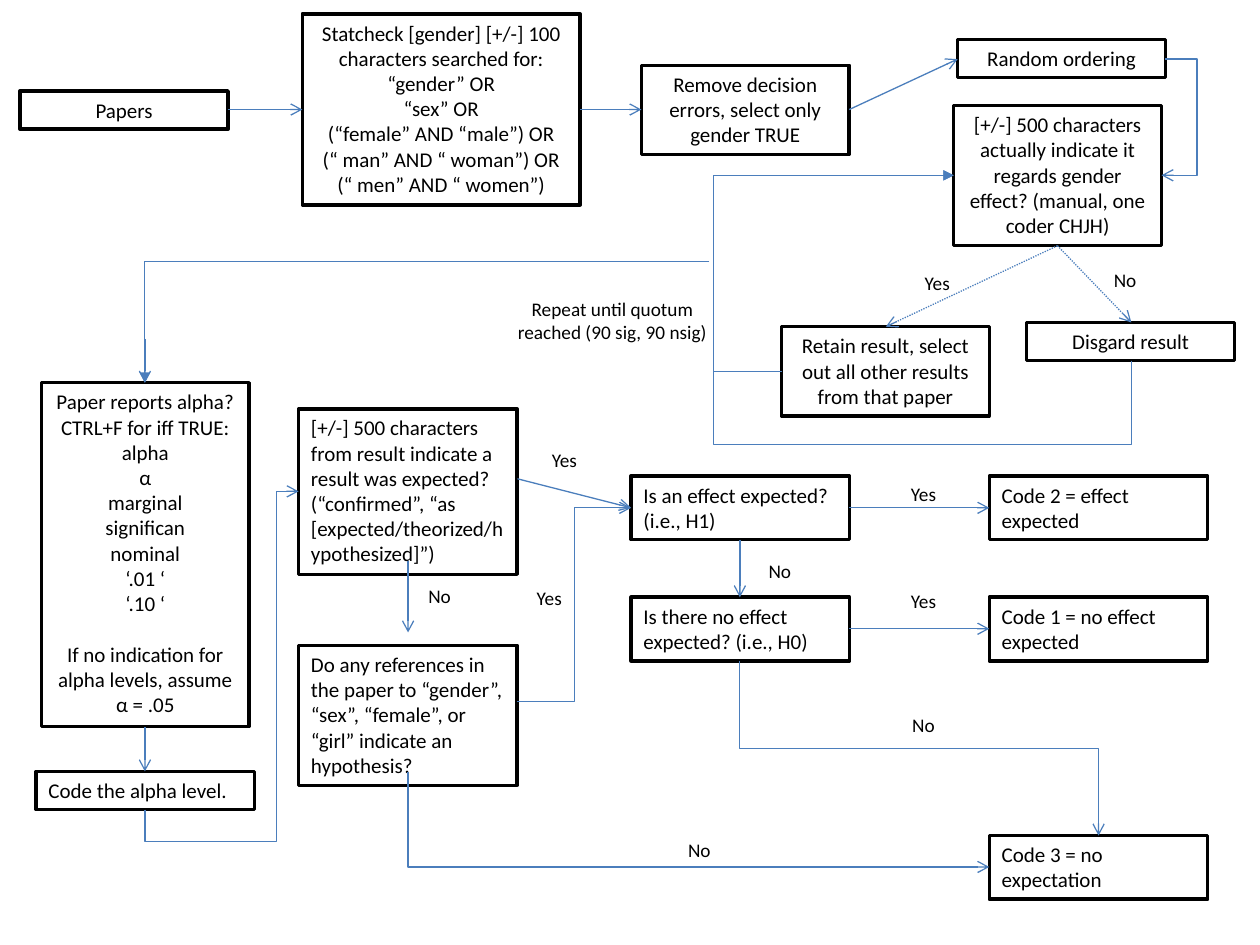
from pptx import Presentation
from pptx.dml.color import RGBColor
from pptx.enum.dml import MSO_LINE
from pptx.enum.shapes import MSO_CONNECTOR, MSO_SHAPE
from pptx.enum.text import MSO_ANCHOR, MSO_AUTO_SIZE, PP_ALIGN
from pptx.oxml.ns import qn
from pptx.util import Pt
from lxml.etree import SubElement

COLORS = {"paper": "FFFFFF", "ink": "000000", "arrow": "4B7EBC"}
NARROW, WIDE = 118.8, 124.8
CENTER, LEFT = PP_ALIGN.CENTER, PP_ALIGN.LEFT

SELECTION_STEPS = [
    (11.5, 52, NARROW, 1, ["Papers"]),
    (172.8, 7.9, 158.7, 7, [
        "Statcheck [gender] [+/-] 100 characters searched for:",
        "“gender” OR", "“sex” OR", "(“female” AND “male”) OR",
        "(“ man” AND “ woman”) OR", "(“ men” AND “ women”)"]),
    (366.5, 37.3, NARROW, 3, ["Remove decision errors, select only gender TRUE"]),
    (547.2, 22.5, NARROW, 1, ["Random ordering"]),
    (545, 60.3, NARROW, 5, [
        "[+/-] 500 characters actually indicate it regards gender effect? "
        "(manual, one coder CHJH)"]),
    (446.6, 186.7, NARROW, 3, [
        "Retain result, select out all other results from that paper"]),
    (586.7, 184.3, NARROW, 1, ["Disgard result"]),
]
ALPHA_STEP = (23.6, 218.7, NARROW, 13, [
    "Paper reports alpha? CTRL+F for iff TRUE:", "alpha", "α", "marginal",
    "significan", "nominal", "‘.01 ‘", "‘.10 ‘",
    "If no indication for alpha levels, assume α = .05"])
CODING_STEPS = [
    (20.6, 440.8, 1, "Code the alpha level."),
    (170.6, 233.6, 6,
     "[+/-] 500 characters from result indicate a result was expected? "
     "(“confirmed”, “as [expected/theorized/hypothesized]”)"),
    (170.6, 368.8, 5,
     "Do any references in the paper to “gender”, “sex”, “female”, or “girl” "
     "indicate an hypothesis?"),
    (360.6, 272, 2, "Is an effect expected? (i.e., H1)"),
    (360.6, 341.3, 2, "Is there no effect expected? (i.e., H0)"),
    (565.3, 272, 2, "Code 2 = effect expected"),
    (565.3, 341.3, 2, "Code 1 = no effect expected"),
    (565.3, 477.5, 2, "Code 3 = no expectation"),
]
ANSWERS = {
    "Yes": [(303.1, 252.7), (294.5, 331.2), (508.3, 272.2), (508.3, 333.4),
            (516.2, 151.2)],
    "No": [(231.8, 330.5), (380.2, 475.2), (426.2, 316.1), (508.3, 403.9),
           (623.5, 149.8)],
}
STRAIGHT_ARROWS = [
    ((130.3, 62.6), (172.8, 62.6)), ((331.7, 62.6), (366.5, 62.6)),
    ((485.3, 62.6), (547.2, 33.8)), ((82.8, 193.7), (82.8, 218.7)),
    ((82.8, 415.4), (82.8, 440.8)), ((295.7, 273.6), (360.6, 290.2)),
    ((233.2, 320.4), (233.2, 361.4)), ((422.8, 308.3), (422.8, 341.3)),
    ((485.3, 290.2), (565.3, 290.2)), ((485.3, 359.3), (565.3, 359.3)),
]
DOTTED_ARROWS = [((604.3, 140.4), (646.5, 184.3)), ((604.3, 140.4), (506.2, 186.7))]
BENT_ARROWS = [
    [(666, 33.8), (684, 33.8), (684, 100.2), (663.8, 100.2)],
    [(233.2, 441.4), (233.2, 495.4), (565.3, 495.4)],
    [(295.7, 401), (328.2, 401), (328.2, 290.2), (360.6, 290.2)],
    [(422.8, 378), (422.8, 427.7), (627.8, 427.7), (627.8, 477.5)],
    [(82.8, 462.7), (82.8, 480.7), (158.1, 480.7), (158.1, 280.8), (170.6, 280.8)],
]
REPEAT_ARROWS = [
    [(446.6, 212.3), (407.8, 212.3), (407.8, 100.2), (545, 100.2)],
    [(646.5, 206.1), (646.5, 253.9), (407.8, 253.9), (407.8, 100.2), (545, 100.2)],
    [(405.4, 149.5), (82.8, 149.5), (82.8, 218.7)],
]


def color(name):
    return RGBColor.from_string(COLORS[name])


def write(frame, paragraphs, size, align):
    frame.word_wrap = True
    frame.auto_size = MSO_AUTO_SIZE.SHAPE_TO_FIT_TEXT
    frame.vertical_anchor = MSO_ANCHOR.TOP
    frame.text = "\n".join(paragraphs)
    for paragraph in frame.paragraphs:
        paragraph.alignment = align
        paragraph.font.name = "Calibri"
        paragraph.font.size = Pt(size)
        paragraph.font.color.rgb = color("ink")


def add_step(slide, left, top, width, lines, paragraphs, align=CENTER):
    step = slide.shapes.add_shape(MSO_SHAPE.RECTANGLE, Pt(left), Pt(top),
                                  Pt(width), Pt(7.3 + 14.55 * lines))
    step.shadow.inherit = False
    step.fill.solid()
    step.fill.fore_color.rgb = color("paper")
    step.line.color.rgb = color("ink")
    step.line.width = Pt(2)
    write(step.text_frame, paragraphs, 12, align)
    return step


def add_label(slide, left, top, width, height, wording):
    label = slide.shapes.add_textbox(Pt(left), Pt(top), Pt(width), Pt(height))
    write(label.text_frame, [wording], 11, CENTER)


def add_arrow(slide, start, end, head="arrow", kind=MSO_CONNECTOR.STRAIGHT, dash=None):
    arrow = slide.shapes.add_connector(kind, *map(Pt, (*start, *end)))
    arrow.line.color.rgb = color("arrow")
    arrow.line.width = Pt(0.75)
    if dash:
        arrow.line.dash_style = dash
    SubElement(arrow.line._get_or_add_ln(), qn("a:tailEnd"), type=head)
    SubElement(arrow._element.spPr, qn("a:effectLst"))
    return arrow


def add_bent_arrow(slide, route, head="arrow"):
    (x1, y1), (x2, y2) = start, end = route[0], route[-1]
    dx, dy = x2 - x1, y2 - y1
    vertical = route[1][0] == x1
    if vertical:
        mid_x, mid_y = (x1 + x2) / 2, (y1 + y2) / 2
        reach = abs(dy) / 2
        rise = abs(dx) / 2 * (1 if dx * dy < 0 else -1)
        start, end = (mid_x + reach, mid_y + rise), (mid_x - reach, mid_y - rise)
    arrow = add_arrow(slide, start, end, head, MSO_CONNECTOR.ELBOW)
    properties = arrow._element.spPr
    if vertical:
        properties.find(qn("a:xfrm")).set("rot", str((270 if dy > 0 else 90) * 60000))
    geometry = properties.find(qn("a:prstGeom"))
    geometry.set("prst", f"bentConnector{len(route) - 1}")
    guides = geometry.find(qn("a:avLst"))
    for number, (x, y) in enumerate(route[1:-2], 1):
        along_y = vertical == (number % 2 == 1)
        share = (y - y1) / dy if along_y else (x - x1) / dx
        SubElement(guides, qn("a:gd"), name=f"adj{number}",
                   fmla=f"val {round(share * 100000)}")


def main():
    deck = Presentation()
    deck.slide_width, deck.slide_height = Pt(720), Pt(540)
    slide = deck.slides.add_slide(deck.slide_layouts[6])
    for step in SELECTION_STEPS:
        add_step(slide, *step)
    alpha = add_step(slide, *ALPHA_STEP)
    alpha.text_frame.paragraphs[-1].space_before = Pt(14.6)
    for left, top, lines, wording in CODING_STEPS:
        add_step(slide, left, top, WIDE, lines, [wording], LEFT)
    for answer, places in ANSWERS.items():
        for left, top in places:
            add_label(slide, left, top, 38.9, 20.6, answer)
    add_label(slide, 286.6, 166.3, 126.7, 33.9,
              "Repeat until quotum reached (90 sig, 90 nsig)")
    for start, end in STRAIGHT_ARROWS:
        add_arrow(slide, start, end)
    for start, end in DOTTED_ARROWS:
        add_arrow(slide, start, end, dash=MSO_LINE.ROUND_DOT)
    for route in BENT_ARROWS:
        add_bent_arrow(slide, route)
    for route in REPEAT_ARROWS:
        add_bent_arrow(slide, route, "triangle")
    deck.save("out.pptx")


main()
